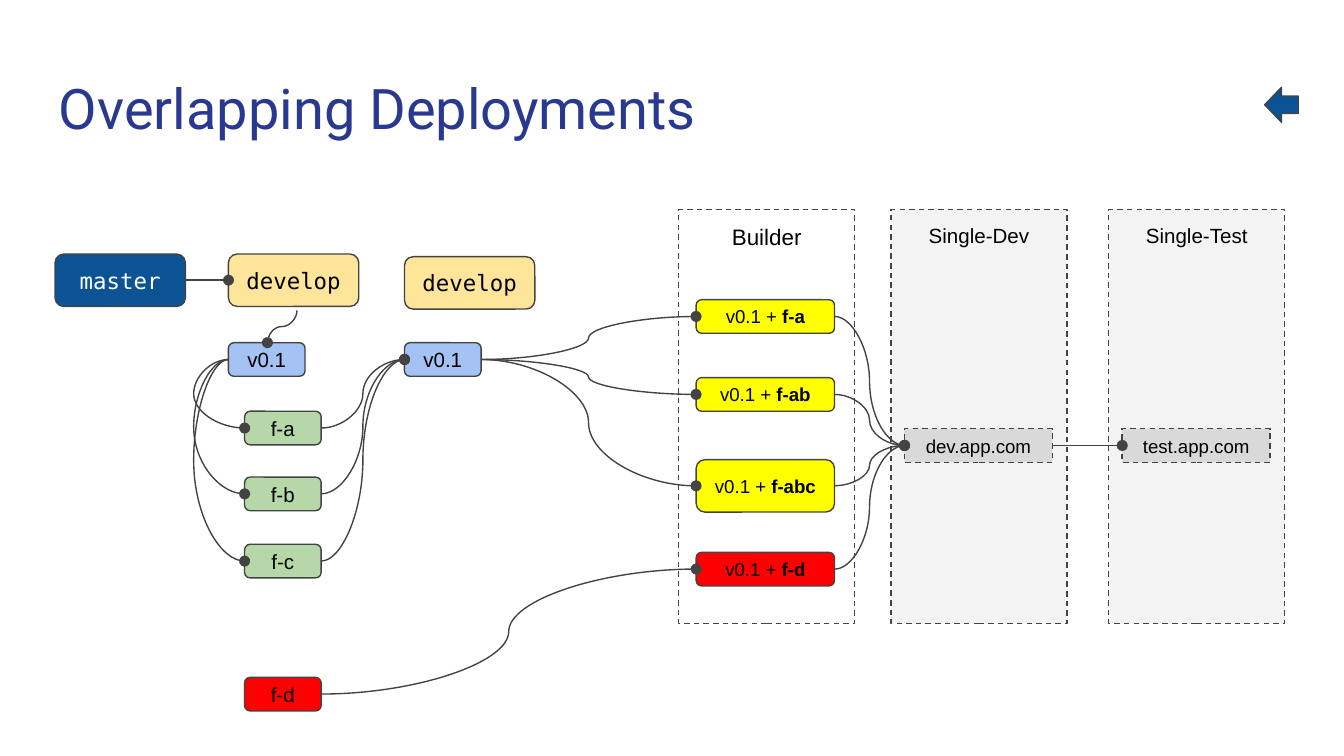
from pptx import Presentation
from pptx.dml.color import RGBColor
from pptx.enum.dml import MSO_LINE
from pptx.enum.shapes import MSO_CONNECTOR, MSO_SHAPE
from pptx.enum.text import MSO_ANCHOR, PP_ALIGN
from pptx.oxml.ns import qn
from pptx.util import Inches, Pt
from lxml import etree

ROUND, RECT = MSO_SHAPE.ROUNDED_RECTANGLE, MSO_SHAPE.RECTANGLE
ARROW, CURVE = MSO_SHAPE.LEFT_ARROW, MSO_CONNECTOR.CURVE
DASH = MSO_LINE.DASH
TOP, MIDDLE = MSO_ANCHOR.TOP, MSO_ANCHOR.MIDDLE
CENTER = PP_ALIGN.CENTER

NAVY = RGBColor(0x2A, 0x39, 0x90)
BLUE = RGBColor(0x0B, 0x53, 0x94)
SKY = RGBColor(0xA4, 0xC2, 0xF4)
CREAM = RGBColor(0xFF, 0xE5, 0x99)
GREEN = RGBColor(0xB6, 0xD7, 0xA8)
YELLOW = RGBColor(0xFF, 0xFF, 0x00)
RED = RGBColor(0xFF, 0x00, 0x00)
PALE = RGBColor(0xF3, 0xF3, 0xF3)
GRAY = RGBColor(0xD9, 0xD9, 0xD9)
DARK = RGBColor(0x43, 0x43, 0x43)
BLACK = RGBColor(0x00, 0x00, 0x00)
WHITE = RGBColor(0xFF, 0xFF, 0xFF)

SANS, MONO, HEAD = "Arial", "DejaVu Sans Mono", "Roboto"
LOW, TALL = 0.25, 0.39  # box heights


def write(shape, text, size, font=SANS, color=BLACK, bold=""):
    """Fill the frame with text, then an optional bold ending."""
    frame = shape.text_frame
    frame.word_wrap = True
    frame.margin_left = frame.margin_right = Inches(0.1)
    frame.margin_top = frame.margin_bottom = Inches(0.1)
    para = frame.paragraphs[0]
    para.font.size = Pt(size)
    para.font.name = font
    para.font.color.rgb = color
    para.add_run().text = text
    if bold:
        run = para.add_run()
        run.text = bold
        run.font.bold = True
    return para


def add_title(slide, text):
    box = slide.shapes.add_textbox(
        Inches(0.34), Inches(0.45), Inches(9.32), Inches(0.66))
    write(box, text, 30, HEAD, NAVY)


def add_box(slide, kind, x, y, w, h, fill=None):
    shape = slide.shapes.add_shape(
        kind, Inches(x), Inches(y), Inches(w), Inches(h))
    shape.shadow.inherit = False
    if fill is None:
        shape.fill.background()
    else:
        shape.fill.solid()
        shape.fill.fore_color.rgb = fill
    shape.line.color.rgb = DARK
    shape.line.width = Pt(0.75)
    return shape


def label(shape, text, size, anchor=MIDDLE, **style):
    write(shape, text, size, **style).alignment = CENTER
    shape.text_frame.vertical_anchor = anchor
    return shape


def add_branch(slide, x, y, text, fill, color=BLACK):
    box = add_box(slide, ROUND, x, y, 0.97, TALL, fill)
    return label(box, text, 12, font=MONO, color=color)


def add_tag(slide, x, y, text, fill):
    return label(add_box(slide, ROUND, x, y, 0.57, LOW, fill), text, 11)


def add_build(slide, y, name, fill, h=LOW):
    box = add_box(slide, ROUND, 5.18, y, 1.03, h, fill)
    return label(box, "v0.1 + ", 10, bold=name)


def add_stage(slide, x, text, size, fill=None):
    box = add_box(slide, RECT, x, 1.56, 1.31, 3.08, fill)
    box.line.dash_style = DASH
    label(box, text, size, TOP)


def add_host(slide, x, text):
    box = add_box(slide, RECT, x, 3.19, 1.1, LOW, GRAY)
    box.line.dash_style = DASH
    return label(box, text, 10)


def add_curve(slide, x1, y1, x2, y2):
    """Draw a curve with a round end."""
    curve = slide.shapes.add_connector(CURVE, x1, y1, x2, y2)
    curve.line.color.rgb = DARK
    curve.line.width = Pt(0.75)
    props = curve.element.spPr
    etree.SubElement(props.find(qn("a:ln")), qn("a:tailEnd"), type="oval")
    etree.SubElement(props, qn("a:effectLst"))
    return curve


def link(slide, start, end, left=False):
    """Join two boxes, leaving from the right side or looping out left."""
    x1 = start.left if left else start.left + start.width
    curve = add_curve(slide, x1, start.top + start.height // 2,
                      end.left, end.top + end.height // 2)
    curve.begin_connect(start, 1 if left else 3)
    curve.end_connect(end, 1)
    if left:
        bend = curve.element.spPr.find(qn("a:prstGeom")).find(qn("a:avLst"))
        etree.SubElement(bend, qn("a:gd"), name="adj1", fmla="val -216000")


def drop(slide):
    """Lead from the develop branch down to its version tag."""
    curve = add_curve(slide, Inches(1.98), Inches(2.32),
                      Inches(2.22), Inches(2.54))
    curve.element.spPr.find(qn("a:xfrm")).set("rot", "5400000")


def main():
    prs = Presentation()
    prs.slide_width = Inches(10)
    prs.slide_height = prs.slide_width * 9 // 16
    slide = prs.slides.add_slide(prs.slide_layouts[6])

    add_title(slide, "Overlapping Deployments")
    add_box(slide, ARROW, 9.41, 0.65, 0.25, 0.26, BLUE)

    add_stage(slide, 5.05, "Builder", 12)
    add_stage(slide, 6.63, "Single-Dev", 11, PALE)
    add_stage(slide, 8.25, "Single-Test", 11, PALE)

    master = add_branch(slide, 0.41, 1.89, "master", BLUE, WHITE)
    develop = add_branch(slide, 1.7, 1.89, "develop", CREAM)
    add_branch(slide, 3.01, 1.91, "develop", CREAM)
    base = add_tag(slide, 1.7, 2.55, "v0.1", SKY)
    merged = add_tag(slide, 3.01, 2.55, "v0.1", SKY)
    feats = [add_tag(slide, 1.82, y, text, GREEN)
             for y, text in ((3.06, "f-a"), (3.55, "f-b"), (4.05, "f-c"))]
    late = add_tag(slide, 1.82, 5.04, "f-d", RED)

    builds = [add_build(slide, 2.23, "f-a", YELLOW),
              add_build(slide, 2.81, "f-ab", YELLOW),
              add_build(slide, 3.42, "f-abc", YELLOW, TALL)]
    clash = add_build(slide, 4.11, "f-d", RED)
    dev = add_host(slide, 6.73, "dev.app.com")
    test = add_host(slide, 8.35, "test.app.com")

    link(slide, master, develop)
    drop(slide)
    for feat in feats:
        link(slide, base, feat, left=True)
        link(slide, feat, merged)
    for build in builds:
        link(slide, merged, build)
    link(slide, late, clash)
    for build in builds + [clash]:
        link(slide, build, dev)
    link(slide, dev, test)

    prs.save("out.pptx")


if __name__ == "__main__":
    main()
